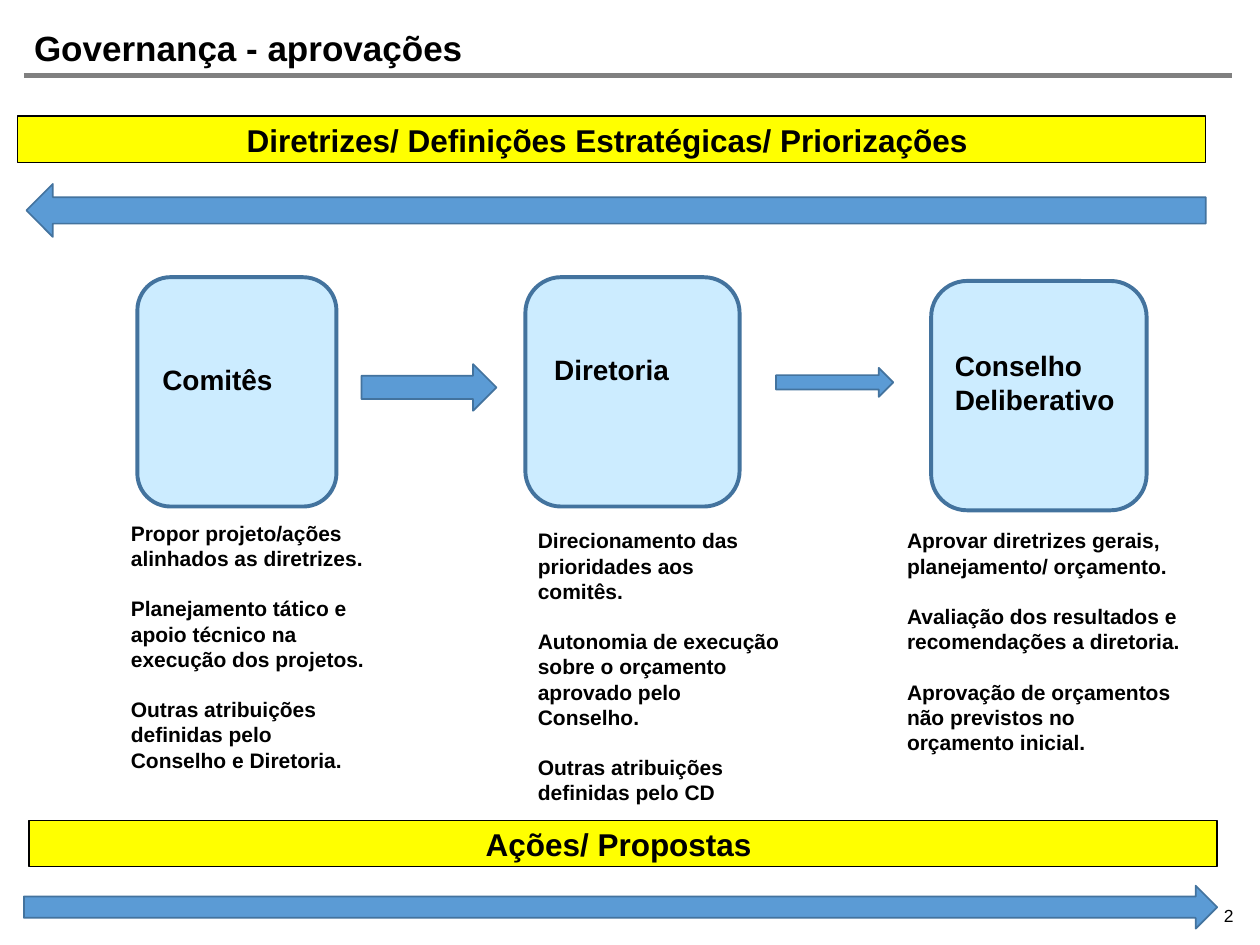
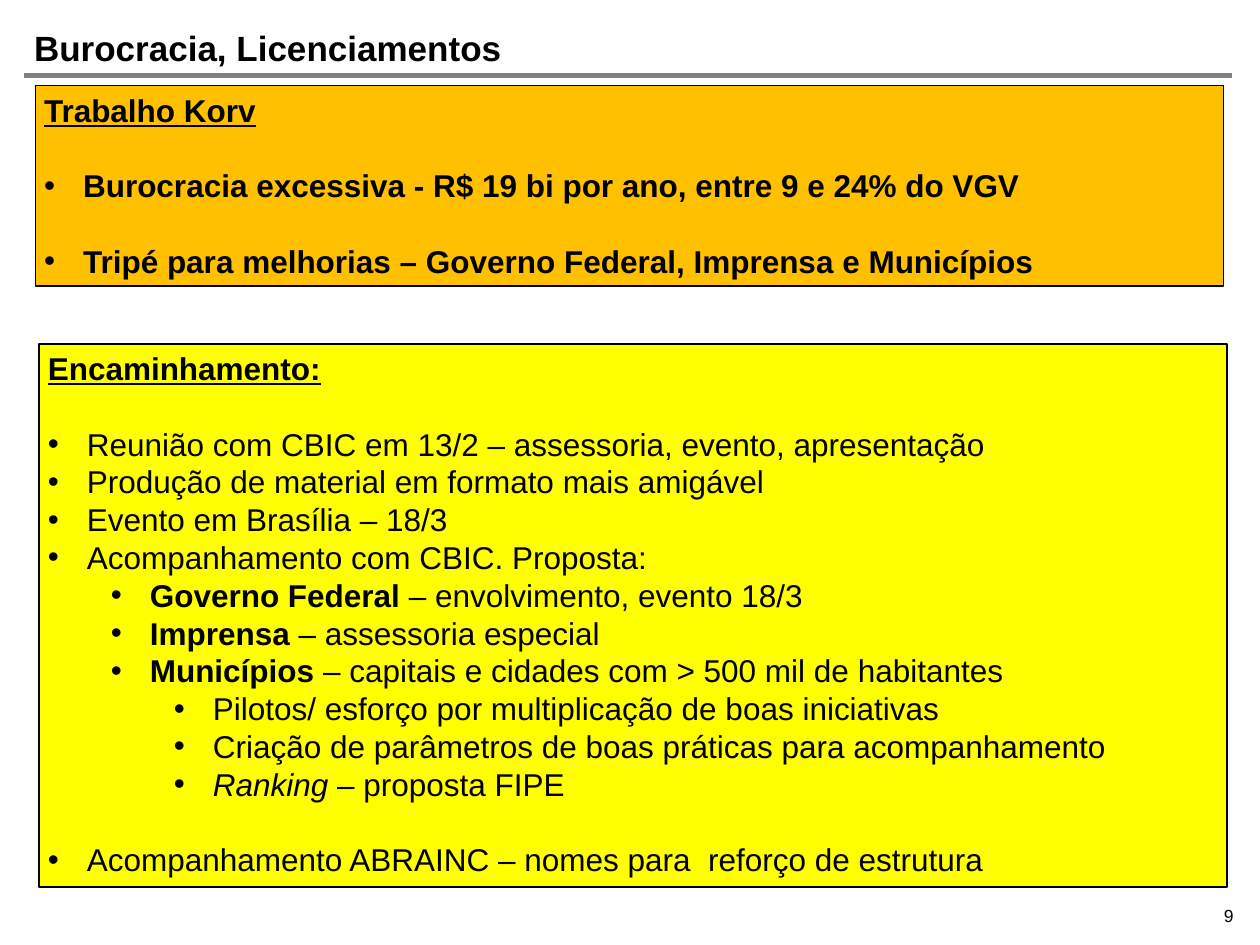
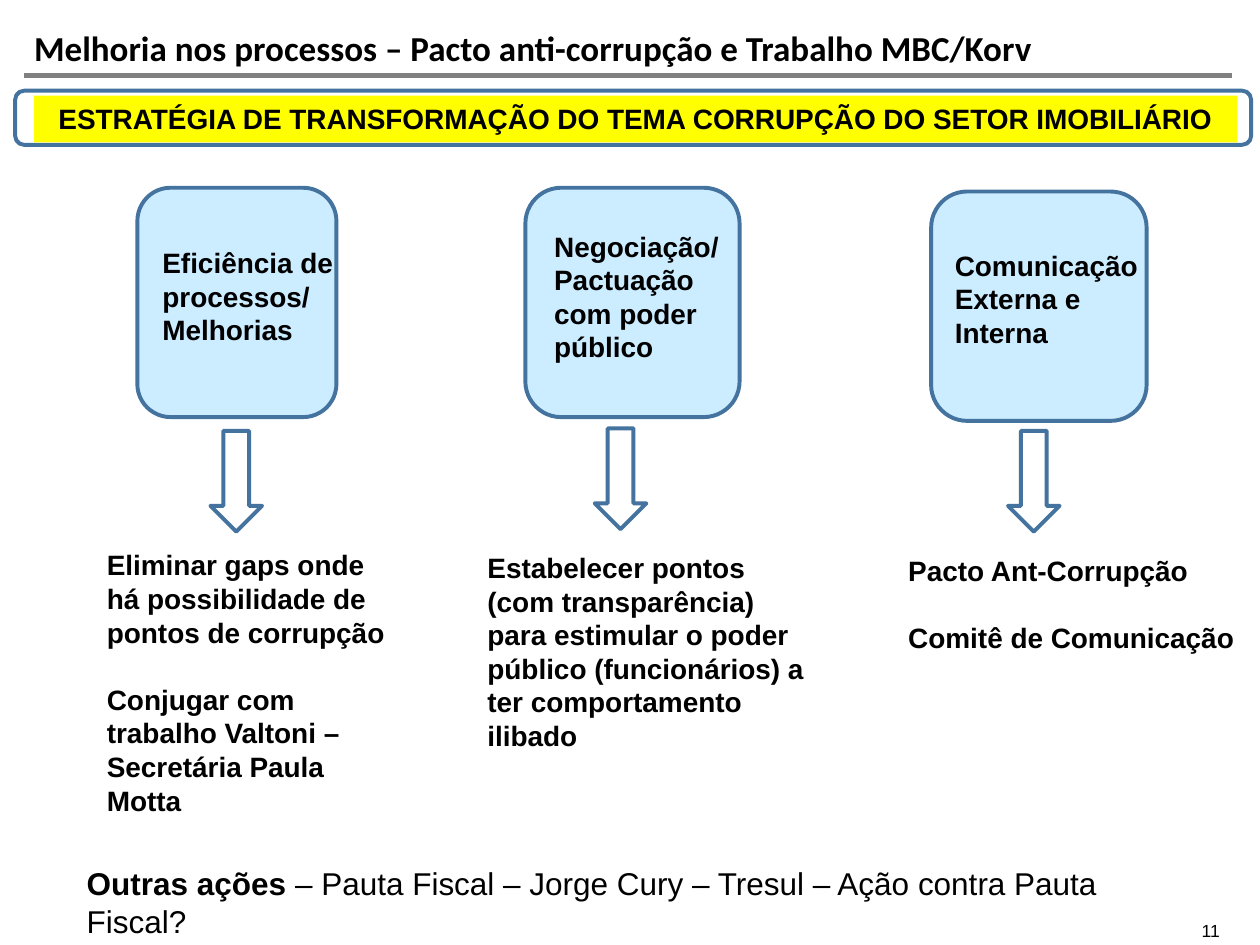
"""Build three slides on governance, bureaucracy and anti-corruption processes."""
import collections

import lxml.etree
import pptx
import pptx.dml.color
import pptx.enum.shapes
import pptx.enum.text
import pptx.oxml.ns
import pptx.util

Inches = pptx.util.Inches
Pt = pptx.util.Pt
RGBColor = pptx.dml.color.RGBColor
SHAPE = pptx.enum.shapes.MSO_SHAPE
ANCHOR = pptx.enum.text.MSO_ANCHOR
ALIGN = pptx.enum.text.PP_ALIGN
qn = pptx.oxml.ns.qn

BLACK = RGBColor(0x00, 0x00, 0x00)
WHITE = RGBColor(0xFF, 0xFF, 0xFF)
GRAY = RGBColor(0x80, 0x80, 0x80)
YELLOW = RGBColor(0xFF, 0xFF, 0x00)
ORANGE = RGBColor(0xFF, 0xC0, 0x00)
PALE_BLUE = RGBColor(0xCC, 0xEC, 0xFF)
ARROW_BLUE = RGBColor(0x5B, 0x9B, 0xD5)
DARK_BLUE = RGBColor(0x43, 0x73, 0x9E)

LINE_PITCH = 1.2
BULLET_INDENT = 0.31
LEVEL_STEP = 0.5
PANEL_WIDTH = 9.43
PANEL_INSETS = (0.07, 0.04)

Column = collections.namedtuple("Column", "left width label_left label_width drop")
COLUMNS = [
    Column(1.09, 1.58, 1.19, 1.62, 0),
    Column(4.17, 1.70, 4.30, 1.57, 0),
    Column(7.39, 1.71, 7.48, 1.67, 0.03),
]

Para = collections.namedtuple(
    "Para", "text level gap bold underline lead lead_italic",
    defaults=(None, False, False, False, "", False))


class Deck:
    """Holds the shared style and the current slide."""

    def __init__(self):
        self.prs = pptx.Presentation()
        self.prs.slide_width = Inches(10)
        self.prs.slide_height = Inches(7.5)
        self.slide = None

    def start(self, title, number, font="Arial", number_at=(7.45, 7.18)):
        """Add a slide with its title, rule and page number."""
        self.slide = self.prs.slides.add_slide(self.prs.slide_layouts[6])
        self.rule(0.19, 9.78, 0.6)
        self.text(0.27, 0.25, 9.51, 0.35, [Para(title, bold=True)], 20,
                  font=font, insets=(0, 0), spacing=0.9)
        self.text(*number_at, 2.34, 0.17, [Para(number)], 10,
                  align=ALIGN.RIGHT, insets=(0, 0), anchor=ANCHOR.BOTTOM)

    def rule(self, left, right, y):
        """Draw the gray line under the title."""
        rule = self.slide.shapes.add_connector(
            pptx.enum.shapes.MSO_CONNECTOR.STRAIGHT,
            Inches(left), Inches(y), Inches(right), Inches(y))
        rule.line.color.rgb = GRAY
        rule.line.width = Pt(3.2)
        lxml.etree.SubElement(rule._element.spPr, qn("a:effectLst"))

    def shape(self, kind, left, top, width, height, fill, line=None, weight=1):
        """Draw a filled preset shape, outlined if a line colour is given."""
        shape = self.slide.shapes.add_shape(
            kind, Inches(left), Inches(top), Inches(width), Inches(height))
        shape.shadow.inherit = False
        shape.fill.solid()
        shape.fill.fore_color.rgb = fill
        if line is None:
            shape.line.fill.background()
        else:
            shape.line.color.rgb = line
            shape.line.width = Pt(weight)
        return shape

    def text(self, left, top, width, height, paras, size, **style):
        """Add a text box."""
        box = self.slide.shapes.add_textbox(
            Inches(left), Inches(top), Inches(width), Inches(height))
        self.fill_text(box.text_frame, paras, size, **style)

    def panel(self, left, top, height, fill, paras, align=ALIGN.LEFT):
        """Draw a wide outlined panel with text."""
        panel = self.shape(SHAPE.RECTANGLE, left, top, PANEL_WIDTH, height,
                           fill, BLACK, 0.75)
        self.fill_text(panel.text_frame, paras, 18, align=align, insets=PANEL_INSETS)

    def pillars(self, top, label_tops, labels):
        """Draw the three rounded boxes with their labels."""
        for column, label_top, label in zip(COLUMNS, label_tops, labels):
            self.shape(SHAPE.ROUNDED_RECTANGLE, column.left, top + column.drop,
                       column.width, 1.82, PALE_BLUE, DARK_BLUE, 2.25)
            self.text(column.label_left, label_top, column.label_width, 0.37,
                      [Para(label, bold=True)], 16)

    def details(self, boxes, size):
        """Set bold texts under the pillars, a blank line's height apart."""
        for left, top, width, height, texts in boxes:
            paras = [Para(text, gap=i > 0, bold=True) for i, text in enumerate(texts)]
            self.text(left, top, width, height, paras, size)

    def fill_text(self, frame, paras, size, font="Arial", align=ALIGN.LEFT,
                  insets=(0.1, 0.05), anchor=ANCHOR.TOP, spacing=None):
        """Fill a text frame with styled paragraphs."""
        frame.word_wrap = True
        frame.vertical_anchor = anchor
        frame.margin_left = frame.margin_right = Inches(insets[0])
        frame.margin_top = frame.margin_bottom = Inches(insets[1])
        for i, para in enumerate(paras):
            paragraph = frame.add_paragraph() if i else frame.paragraphs[0]
            paragraph.alignment = align
            paragraph.line_spacing = spacing or Pt(LINE_PITCH * size)
            if para.gap:
                paragraph.space_before = Pt(LINE_PITCH * size)
            if para.level is not None:
                self.bullet(paragraph, para.level)
            paragraph.font.name = font
            paragraph.font.size = Pt(size)
            paragraph.font.color.rgb = BLACK
            if para.underline:
                paragraph.font.underline = True
            if para.lead:
                lead = paragraph.add_run()
                lead.text = para.lead
                lead.font.bold = not para.lead_italic
                lead.font.italic = para.lead_italic
            else:
                paragraph.font.bold = para.bold
            paragraph.add_run().text = para.text

    def bullet(self, paragraph, level):
        """Give a paragraph a hanging bullet at a level."""
        paragraph.level = level
        props = paragraph._p.get_or_add_pPr()
        props.set("marL", str(Inches(BULLET_INDENT + LEVEL_STEP * level)))
        props.set("indent", str(-Inches(BULLET_INDENT)))
        lxml.etree.SubElement(props, qn("a:buFont"), typeface="Arial")
        lxml.etree.SubElement(props, qn("a:buChar"), char="•")


def governance(deck):
    """Build the slide on approvals."""
    deck.start("Governança - aprovações", "2")
    deck.pillars(2.2, (2.83, 2.75, 2.72),
                 ("Comitês", "Diretoria", "Conselho Deliberativo"))
    for left, top, text in (
            (0.14, 0.92, "Diretrizes/ Definições Estratégicas/ Priorizações "),
            (0.23, 6.51, "Ações/ Propostas ")):
        deck.panel(left, top, 0.37, YELLOW, [Para(text, bold=True)], ALIGN.CENTER)
    for kind, *place in (
            (SHAPE.RIGHT_ARROW, 2.87, 2.89, 1.07, 0.37),
            (SHAPE.RIGHT_ARROW, 6.16, 2.92, 0.93, 0.23),
            (SHAPE.LEFT_ARROW, 0.21, 1.46, 9.36, 0.42),
            (SHAPE.RIGHT_ARROW, 0.19, 7.03, 9.47, 0.34)):
        deck.shape(kind, *place, ARROW_BLUE, DARK_BLUE)
    deck.details([
        (0.94, 4.08, 2.12, 2.12, (
            "Propor projeto/ações alinhados as diretrizes.",
            "Planejamento tático e apoio técnico na execução dos projetos.",
            "Outras atribuições definidas pelo Conselho e Diretoria.")),
        (4.17, 4.14, 2.15, 2.32, (
            "Direcionamento das prioridades aos comitês.",
            "Autonomia de execução sobre o orçamento aprovado pelo Conselho.",
            "Outras atribuições definidas pelo CD")),
        (7.1, 4.14, 2.39, 1.92, (
            "Aprovar diretrizes gerais, planejamento/ orçamento.",
            "Avaliação dos resultados e recomendações a diretoria.",
            "Aprovação de orçamentos não previstos no orçamento inicial.")),
    ], 12)


def bureaucracy(deck):
    """Build the slide on licensing."""
    deck.start("Burocracia, Licenciamentos", "9")
    deck.panel(0.28, 0.68, 1.59, ORANGE, [
        Para("Trabalho Korv", bold=True, underline=True),
        Para("Burocracia excessiva - R$ 19 bi por ano, entre 9 e 24% do VGV",
             0, gap=True, bold=True),
        Para("Tripé para melhorias – Governo Federal, Imprensa e Municípios",
             0, gap=True, bold=True),
    ])
    deck.panel(0.31, 2.73, 4.31, YELLOW, [
        Para("Encaminhamento:", bold=True, underline=True),
        Para("Reunião com CBIC em 13/2 – assessoria, evento, apresentação", 0, gap=True),
        Para("Produção de material em formato mais amigável", 0),
        Para("Evento em Brasília – 18/3", 0),
        Para("Acompanhamento com CBIC. Proposta:", 0),
        Para("– envolvimento, evento 18/3", 1, lead="Governo Federal "),
        Para(" – assessoria especial", 1, lead="Imprensa"),
        Para("– capitais e cidades com > 500 mil de habitantes", 1, lead="Municípios "),
        Para("Pilotos/ esforço por multiplicação de boas iniciativas", 2),
        Para("Criação de parâmetros de boas práticas para acompanhamento", 2),
        Para("– proposta FIPE", 2, lead="Ranking ", lead_italic=True),
        Para("Acompanhamento ABRAINC – nomes para  reforço de estrutura", 0, gap=True),
    ])


def anti_corruption(deck):
    """Build the slide on process improvement."""
    deck.start("Melhoria nos processos – Pacto anti-corrupção e Trabalho MBC/Korv",
               "11", font="Calibri", number_at=(7.34, 7.3))
    deck.shape(SHAPE.ROUNDED_RECTANGLE, 0.12, 0.72, 9.81, 0.43, WHITE, DARK_BLUE, 2.25)
    strategy = deck.shape(SHAPE.RECTANGLE, 0.27, 0.76, 9.55, 0.37, YELLOW)
    deck.fill_text(strategy.text_frame, [Para(
        "ESTRATÉGIA DE TRANSFORMAÇÃO DO TEMA CORRUPÇÃO DO SETOR IMOBILIÁRIO",
        bold=True)], 16, align=ALIGN.CENTER)
    deck.pillars(1.49, (1.9, 1.77, 1.92), (
        "Eficiência de processos/ Melhorias",
        "Negociação/ Pactuação com poder público",
        "Comunicação Externa e Interna"))
    for left, top in ((1.67, 3.42), (4.72, 3.4), (8, 3.42)):
        deck.shape(SHAPE.DOWN_ARROW, left, top, 0.41, 0.8, WHITE, DARK_BLUE, 2.25)
    deck.details([
        (0.75, 4.3, 2.56, 2.26, (
            "Eliminar gaps onde há possibilidade de pontos de corrupção",
            "Conjugar com trabalho Valtoni – Secretária Paula Motta")),
        (3.77, 4.32, 2.79, 1.72, (
            "Estabelecer pontos (com transparência) para estimular o poder "
            "público (funcionários) a ter comportamento ilibado",)),
        (7.11, 4.34, 2.79, 0.91, ("Pacto Ant-Corrupção", "Comitê de Comunicação")),
    ], 16)
    deck.text(0.59, 6.81, 9.04, 0.4, [Para(
        "– Pauta Fiscal – Jorge Cury – Tresul – Ação contra Pauta Fiscal?",
        lead="Outras ações ")], 18)


def main():
    """Build and save the deck."""
    deck = Deck()
    governance(deck)
    bureaucracy(deck)
    anti_corruption(deck)
    deck.prs.save("out.pptx")


if __name__ == "__main__":
    main()
